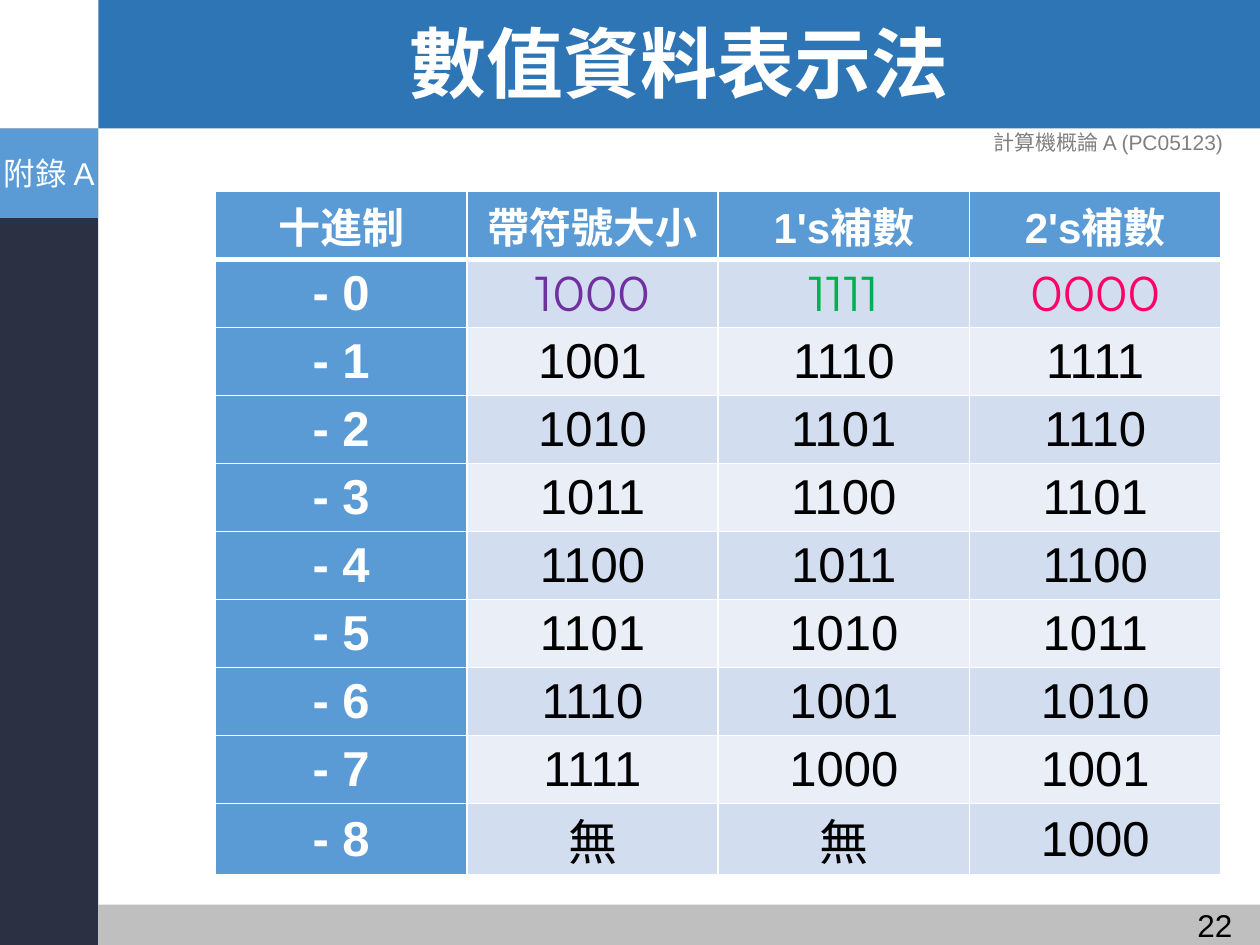
from lxml import etree
from pptx import Presentation
from pptx.dml.color import RGBColor
from pptx.enum.shapes import MSO_SHAPE
from pptx.enum.text import MSO_ANCHOR, MSO_AUTO_SIZE, PP_ALIGN
from pptx.oxml.ns import qn
from pptx.util import Inches, Pt

RECTANGLE = MSO_SHAPE.RECTANGLE
MIDDLE, TOP = MSO_ANCHOR.MIDDLE, MSO_ANCHOR.TOP
CENTER, RIGHT = PP_ALIGN.CENTER, PP_ALIGN.RIGHT
NO_AUTOFIT = MSO_AUTO_SIZE.NONE

WHITE, BLACK, BLUE = "FFFFFF", "000000", "5B9BD5"
BANDS = ("D2DEEF", "EAEFF7")
ZERO_COLOURS = ("7030A0", "00B050", "FF0066")

HEADINGS = ("十進制", "帶符號大小", "1's補數", "2's補數")
NUMBERS = (
    ("- 0", "1000", "1111", "0000"),
    ("- 1", "1001", "1110", "1111"),
    ("- 2", "1010", "1101", "1110"),
    ("- 3", "1011", "1100", "1101"),
    ("- 4", "1100", "1011", "1100"),
    ("- 5", "1101", "1010", "1011"),
    ("- 6", "1110", "1001", "1010"),
    ("- 7", "1111", "1000", "1001"),
    ("- 8", "無", "無", "1000"),
)


def colour(value):
    return RGBColor.from_string(value)


def place(shape, box):
    shape.left, shape.top, shape.width, shape.height = map(Inches, box)


def write(frame, text, size, tone, align=CENTER, bold=False, font="Arial"):
    para = frame.paragraphs[0]
    para.alignment = align
    span = para.add_run()
    span.text = text
    span.font.size = Pt(size)
    span.font.name = font
    span.font.bold = bold
    span.font.color.rgb = colour(tone)
    return para


def add_block(page, box, fill):
    block = page.shapes.add_shape(RECTANGLE, *map(Inches, box))
    block.shadow.inherit = False
    block.fill.solid()
    block.fill.fore_color.rgb = colour(fill)
    block.line.fill.background()
    return block


def add_label(page, box, text, size, tone, align, anchor):
    frame = page.shapes.add_textbox(*map(Inches, box)).text_frame
    frame.word_wrap = True
    frame.vertical_anchor = anchor
    write(frame, text, size, tone, align)


def add_title(page, box, text):
    title = page.shapes.title
    place(title, box)
    frame = title.text_frame
    frame.auto_size = NO_AUTOFIT
    frame.vertical_anchor = MIDDLE
    para = write(frame, text, 44, WHITE, bold=True, font="Montserrat")
    para.line_spacing = 0.9


def add_chapter_tab(page, box, text):
    frame = add_block(page, box, BLUE).text_frame
    frame.word_wrap = False
    frame.vertical_anchor = MIDDLE
    frame.margin_left = frame.margin_right = Inches(0.04)
    frame.margin_top = frame.margin_bottom = Inches(0.04)
    write(frame, text, 18, WHITE)


def add_borders(cell, top, bottom):
    """Draw white cell edges; top and bottom are widths in points."""
    properties = cell._tc.get_or_add_tcPr()
    for side, width in (("L", 1), ("R", 1), ("T", top), ("B", bottom)):
        line = etree.SubElement(properties, qn(f"a:ln{side}"), w=str(Pt(width)))
        fill = etree.SubElement(line, qn("a:solidFill"))
        etree.SubElement(fill, qn("a:srgbClr"), val=WHITE)


def cell_style(row, column):
    """Return the fill, size, text colour, boldness and font of a cell."""
    if row == 0:
        return BLUE, 24, WHITE, True, "Arial"
    if column == 0:
        return BLUE, 28, WHITE, True, "Arial"
    band = BANDS[(row - 1) % 2]
    if row == 1:
        return band, 28, ZERO_COLOURS[column - 1], False, "Montserrat"
    return band, 28, BLACK, False, "Arial"


def add_number_table(page, box, rows):
    table = page.shapes.add_table(
        len(rows), len(rows[0]), *map(Inches, box)).table
    for row, values in enumerate(rows):
        for column, text in enumerate(values):
            fill, size, tone, bold, font = cell_style(row, column)
            cell = table.cell(row, column)
            add_borders(cell, 3 if row == 1 else 1, 3 if row == 0 else 1)
            cell.fill.solid()
            cell.fill.fore_color.rgb = colour(fill)
            cell.vertical_anchor = MIDDLE
            cell.margin_left = cell.margin_right = Inches(0.07)
            cell.margin_top = cell.margin_bottom = 0
            write(cell.text_frame, text, size, tone, bold=bold, font=font)


def add_background(page, side, header, footer):
    """Fill the bands around a content area with the given edges."""
    add_block(page, (side, 0, 10 - side, header), "2E75B6")
    add_block(page, (side, footer, 10 - side, 7.5 - footer), "BFBFBF")
    add_block(page, (0, header, side, 7.5 - header), "2B3142")


def main():
    deck = Presentation()
    deck.slide_width, deck.slide_height = Inches(10), Inches(7.5)
    page = deck.slides.add_slide(deck.slide_layouts[5])
    add_background(page, 0.78, 1.02, 7.18)
    title = page.shapes.title._element
    title.getparent().append(title)  # bring the title in front of its band
    add_title(page, (0.78, 0.03, 9.22, 1.02), "數值資料表示法")
    add_number_table(page, (1.71, 1.52, 7.98, 5.4), (HEADINGS, *NUMBERS))
    add_label(page, (8.82, 7.14, 1.06, 0.4), "22", 18, BLACK, RIGHT, TOP)
    add_label(page, (7.59, 0.93, 2.41, 0.4), "計算機概論 A (PC05123)",
              12, "808080", CENTER, MIDDLE)
    add_chapter_tab(page, (0, 1.02, 0.78, 0.71), "附錄 A")
    deck.save("out.pptx")


if __name__ == "__main__":
    main()
